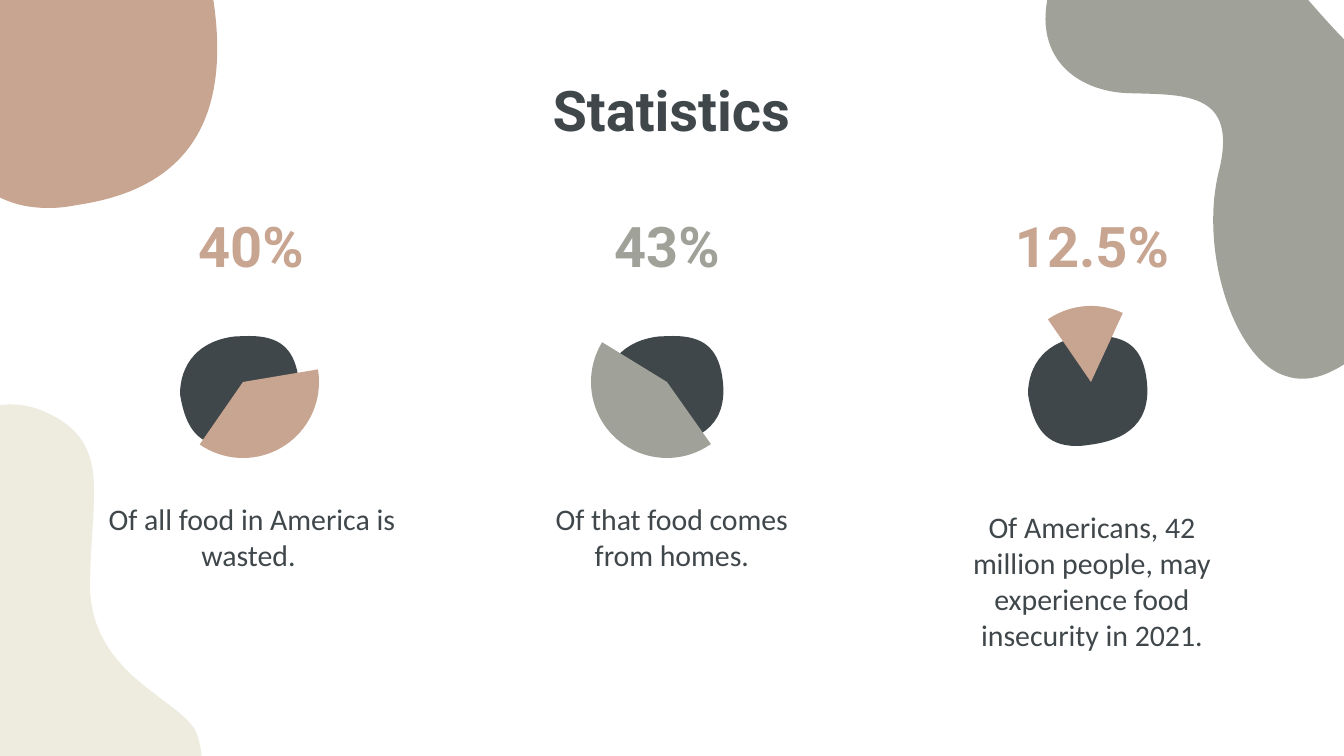
import math
from dataclasses import dataclass

import pptx
import pptx.util
from lxml import etree
from pptx.dml.color import RGBColor
from pptx.enum.shapes import MSO_SHAPE
from pptx.enum.text import MSO_ANCHOR, PP_ALIGN
from pptx.oxml.ns import qn


@dataclass(frozen=True)
class Theme:
    clay: str = "C8A591"
    sage: str = "A0A299"
    cream: str = "EDECDF"
    ink: str = "40474B"
    heading_font: str = "Roboto"
    body_font: str = "Calibri"
    heading_size: int = 30
    body_size: int = 16


THEME = Theme()
PX = 914400 / 134.4
SLIDE_SIZE = (1344, 756)
INSET = 13

HEADING = "Statistics"
HEADING_BOX = (105, 77, 1133, 79)

# Pie angles are degrees clockwise from three o'clock.
STATISTICS = [
    {"figure": "40%", "caption": "Of all food in America is wasted. ", "color": THEME.clay,
     "angles": (350.45, 124.72), "figure_left": 92, "caption_box": (93, 488, 318, 85)},
    {"figure": "43%", "caption": "Of that food comes from homes.", "color": THEME.sage,
     "angles": (54.77, 211.49), "figure_left": 508, "caption_box": (513, 488, 318, 85)},
    {"figure": "12.5%",
     "caption": "Of Americans, 42 million people, may experience food insecurity in 2021.",
     "color": THEME.clay, "angles": (235.49, 294.79), "figure_left": 933,
     "caption_box": (933, 496, 318, 163)},
]
FIGURE_TOP, FIGURE_WIDTH, FIGURE_HEIGHT = 215, 318, 60
PIE_LEFT, PIE_TOP, PIE_SIZE, PIE_STEP = 167, 306, 152, 424
PEBBLE_INSET, PEBBLE_TOP = 13, 336
PEBBLE_WIDTH, PEBBLE_HEIGHT = 126, 110

# Outlines: a start point, then two control points and an end point per curve.
CREAM_FRAME, CREAM_ROTATION = (-323, 398, 628, 386), 41.1
CREAM_WAVE = [
    (196, 732),
    (181, 699), (89, 675), (90, 583),
    (91, 492), (113, 441), (43, 411),
    (-27, 382), (-79, 460), (-132, 446),
    (-184, 434), (-337, 489), (-226, 622),
    (-114, 754), (43, 841), (122, 833),
    (203, 824), (210, 767), (196, 732),
]
SAGE_FRAME, SAGE_ROTATION = (1028, -148, 583, 530), 252.8
SAGE_WAVE = [
    (1126, 93),
    (1183, 95), (1239, 90), (1219, 171),
    (1199, 251), (1234, 360), (1286, 376),
    (1340, 394), (1386, 317), (1439, 298),
    (1493, 280), (1577, 343), (1598, 266),
    (1620, 190), (1552, 35), (1474, 75),
    (1396, 114), (1348, 43), (1294, -16),
    (1240, -75), (1098, -120), (1059, -36),
    (1021, 48), (1070, 90), (1126, 93),
]
PEBBLE_SIZE = (300, 317)
PEBBLE = [
    (165, 0),
    (156, 0), (145, 1), (134, 1),
    (43, 12), (0, 83), (0, 168),
    (13, 265), (43, 317), (116, 317),
    (125, 317), (134, 316), (144, 314),
    (234, 301), (300, 250), (281, 113),
    (270, 34), (235, 0), (165, 0),
]


def emu(px):
    return pptx.util.Emu(round(px * PX))


def paint(shape, color):
    shape.shadow.inherit = False
    shape.fill.solid()
    shape.fill.fore_color.rgb = RGBColor.from_string(color)
    shape.line.fill.background()


def turn_back(points, frame, degrees):
    """Undo a clockwise rotation about the middle of the frame."""
    left, top, width, height = frame
    middle_x, middle_y = left + width / 2, top + height / 2
    cos, sin = math.cos(math.radians(degrees)), math.sin(math.radians(degrees))
    return [
        (middle_x + (x - middle_x) * cos + (y - middle_y) * sin,
         middle_y - (x - middle_x) * sin + (y - middle_y) * cos)
        for x, y in points
    ]


def add_blob(slide, outline, frame, color, rotation=0):
    """Draw the outline as cubic curves, placed exactly in its frame."""
    points = [(emu(x), emu(y)) for x, y in turn_back(outline, frame, rotation)]
    builder = slide.shapes.build_freeform(*points[0])
    builder.add_line_segments(points[1:], close=True)
    blob = builder.convert_to_shape()
    blob.left, blob.top, blob.width, blob.height = map(emu, frame)
    blob.rotation = rotation

    outline_path = next(blob.element.iter(qn("a:path")))
    for segment in list(outline_path):
        outline_path.remove(segment)
    outline_path.set("w", str(blob.width))
    outline_path.set("h", str(blob.height))
    for i, (x, y) in enumerate(points):
        if i == 0:
            segment = etree.SubElement(outline_path, qn("a:moveTo"))
        elif i % 3 == 1:
            segment = etree.SubElement(outline_path, qn("a:cubicBezTo"))
        etree.SubElement(segment, qn("a:pt"), x=str(x - blob.left), y=str(y - blob.top))
    etree.SubElement(outline_path, qn("a:close"))
    paint(blob, color)


def add_pebble(slide, left, top, width, height, color):
    x_scale, y_scale = width / PEBBLE_SIZE[0], height / PEBBLE_SIZE[1]
    outline = [(left + x * x_scale, top + y * y_scale) for x, y in PEBBLE]
    add_blob(slide, outline, (left, top, width, height), color)


def add_pie(slide, left, angles, color):
    pie = slide.shapes.add_shape(
        MSO_SHAPE.PIE, emu(left), emu(PIE_TOP), emu(PIE_SIZE), emu(PIE_SIZE))
    for i, degrees in enumerate(angles):
        pie.adjustments[i] = degrees * 0.6  # 60000 units a degree, in steps of 100000
    paint(pie, color)


def add_text(slide, text, box, color, anchor, heading=False):
    frame = slide.shapes.add_textbox(*map(emu, box)).text_frame
    frame.word_wrap = True
    frame.vertical_anchor = anchor
    frame.margin_left = frame.margin_right = emu(INSET)
    frame.margin_top = frame.margin_bottom = emu(INSET)
    paragraph = frame.paragraphs[0]
    paragraph.text = text
    paragraph.alignment = PP_ALIGN.CENTER
    font = paragraph.font
    font.name = THEME.heading_font if heading else THEME.body_font
    font.size = pptx.util.Pt(THEME.heading_size if heading else THEME.body_size)
    font.bold = heading
    font.color.rgb = RGBColor.from_string(color)


def main():
    presentation = pptx.Presentation()
    presentation.slide_width, presentation.slide_height = map(emu, SLIDE_SIZE)
    slide = presentation.slides.add_slide(presentation.slide_layouts[6])

    add_blob(slide, CREAM_WAVE, CREAM_FRAME, THEME.cream, CREAM_ROTATION)
    add_blob(slide, SAGE_WAVE, SAGE_FRAME, THEME.sage, SAGE_ROTATION)
    add_pebble(slide, -67, -109, *PEBBLE_SIZE, THEME.clay)

    for statistic in STATISTICS:
        add_text(slide, statistic["caption"], statistic["caption_box"],
                 THEME.ink, MSO_ANCHOR.TOP)
        add_text(slide, statistic["figure"],
                 (statistic["figure_left"], FIGURE_TOP, FIGURE_WIDTH, FIGURE_HEIGHT),
                 statistic["color"], MSO_ANCHOR.MIDDLE, heading=True)
    add_text(slide, HEADING, HEADING_BOX, THEME.ink, MSO_ANCHOR.BOTTOM, heading=True)

    for column, statistic in enumerate(STATISTICS):
        pie_left = PIE_LEFT + column * PIE_STEP
        add_pebble(slide, pie_left + PEBBLE_INSET, PEBBLE_TOP,
                   PEBBLE_WIDTH, PEBBLE_HEIGHT, THEME.ink)
        add_pie(slide, pie_left, statistic["angles"], statistic["color"])

    presentation.save("out.pptx")


if __name__ == "__main__":
    main()
